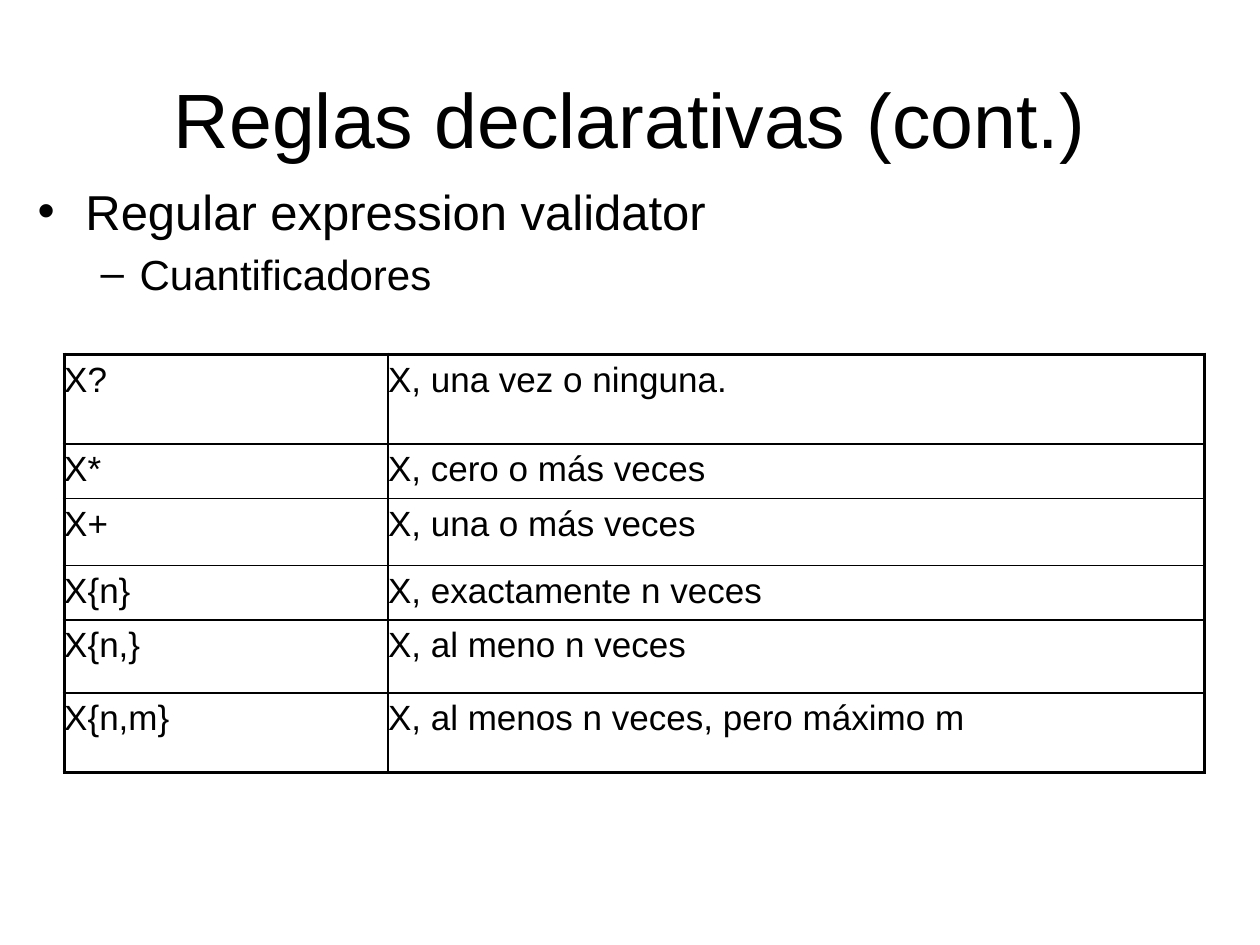
"""Build the slide on regular expression quantifiers."""
import dataclasses
import typing

import pptx
import pptx.dml.color
import pptx.enum.text
import pptx.oxml.ns
import pptx.util
from lxml import etree

BLACK = pptx.dml.color.RGBColor(0x00, 0x00, 0x00)
WHITE = pptx.dml.color.RGBColor(0xFF, 0xFF, 0xFF)
FONT = "Arial"
WIDTH, HEIGHT = pptx.util.Inches(10), pptx.util.Inches(7.5)
THICK, THIN = 2.25, 1
COLUMNS = (2.57, 6.48)
ALIGN = pptx.enum.text.PP_ALIGN
ANCHOR = pptx.enum.text.MSO_ANCHOR


@dataclasses.dataclass(frozen=True)
class Box:
    """Place on the slide, as shares of its width and height."""
    left: float
    top: float
    width: float
    height: float

    def emu(self) -> tuple[int, int, int, int]:
        return (round(self.left * WIDTH), round(self.top * HEIGHT),
                round(self.width * WIDTH), round(self.height * HEIGHT))


@dataclasses.dataclass(frozen=True)
class Bullet:
    """Bullet sign with its text margin and hanging indent in inches."""
    sign: str
    margin: float
    hang: float


@dataclasses.dataclass(frozen=True)
class Quantifier:
    """Table row: pattern, meaning and row height in inches."""
    pattern: str
    meaning: str
    height: float


TITLE_BOX = Box(0.05, 0.04, 0.9, 0.17)
LIST_BOX = Box(0.02, 0.185, 0.8, 0.17)
TABLE_BOX = Box(0.051, 0.375, 0.905, 0.44)
QUANTIFIERS = (
    Quantifier("X?", "X, una vez o ninguna.", 0.71),
    Quantifier("X*", "X, cero o más veces", 0.43),
    Quantifier("X+", "X, una o más veces", 0.53),
    Quantifier("X{n}", "X, exactamente n veces", 0.43),
    Quantifier("X{n,}", "X, al meno n veces", 0.58),
    Quantifier("X{n,m}", "X, al menos n veces, pero máximo m", 0.63),
)


def add_node(parent: typing.Any, tag: str, **attributes: typing.Any) -> typing.Any:
    """Append a DrawingML element to its parent."""
    values = {name: str(value) for name, value in attributes.items()}
    return etree.SubElement(parent, pptx.oxml.ns.qn(f"a:{tag}"), values)


def write(p: typing.Any, text: str, *, size: float, align: typing.Any = ALIGN.LEFT,
          before: float = 0, level: int = 0, bullet: Bullet | None = None) -> None:
    """Write one formatted run into a paragraph."""
    p.alignment, p.level = align, level
    p.space_before = pptx.util.Pt(before)
    r = p.add_run()
    r.text = text
    r.font.name, r.font.size = FONT, pptx.util.Pt(size)
    r.font.color.rgb = BLACK
    if bullet:
        props = p._p.get_or_add_pPr()
        props.set("marL", str(pptx.util.Inches(bullet.margin)))
        props.set("indent", str(-pptx.util.Inches(bullet.hang)))
        add_node(add_node(props, "buClr"), "srgbClr", val=BLACK)
        add_node(props, "buFont", typeface=FONT)
        add_node(props, "buChar", char=bullet.sign)


def add_text_frame(s: typing.Any, box: Box, anchor: typing.Any = ANCHOR.TOP) -> typing.Any:
    """Add a wrapping text box and return its frame."""
    tf = s.shapes.add_textbox(*box.emu()).text_frame
    tf.word_wrap, tf.vertical_anchor = True, anchor
    return tf


def set_borders(cell: typing.Any, **widths: float) -> None:
    """Draw solid black cell borders, given in the order L, R, T, B."""
    props = cell._tc.get_or_add_tcPr()
    for side, width in widths.items():
        line = add_node(props, f"ln{side}", w=pptx.util.Pt(width))
        add_node(add_node(line, "solidFill"), "srgbClr", val=BLACK)


def add_quantifier_table(s: typing.Any) -> None:
    """Add the table with a thick frame and thin inner lines."""
    last_row, last_column = len(QUANTIFIERS) - 1, len(COLUMNS) - 1
    table = s.shapes.add_table(last_row + 1, last_column + 1, *TABLE_BOX.emu()).table
    table.first_row = table.horz_banding = False
    for column, width in zip(table.columns, COLUMNS):
        column.width = pptx.util.Inches(width)
    for i, quantifier in enumerate(QUANTIFIERS):
        table.rows[i].height = pptx.util.Inches(quantifier.height)
        for j, text in enumerate((quantifier.pattern, quantifier.meaning)):
            cell = table.cell(i, j)
            cell.margin_left = cell.margin_right = 0
            set_borders(cell, L=THICK if j == 0 else THIN,
                        R=THICK if j == last_column else THIN,
                        T=THICK if i == 0 else THIN,
                        B=THICK if i == last_row else THIN)
            cell.fill.background()
            write(cell.text_frame.paragraphs[0], text, size=20)


def main() -> None:
    """Assemble and save the slide."""
    prs = pptx.Presentation()
    prs.slide_width, prs.slide_height = WIDTH, HEIGHT
    s = prs.slides.add_slide(prs.slide_layouts[6])
    s.background.fill.solid()
    s.background.fill.fore_color.rgb = WHITE
    title = add_text_frame(s, TITLE_BOX, ANCHOR.MIDDLE)
    write(title.paragraphs[0], "Reglas declarativas (cont.)", size=44, align=ALIGN.CENTER)
    tf = add_text_frame(s, LIST_BOX)
    write(tf.paragraphs[0], "Regular expression validator", size=28,
          bullet=Bullet("•", 0.38, 0.38))
    write(tf.add_paragraph(), "Cuantificadores", size=24, before=4.8, level=1,
          bullet=Bullet("–", 0.81, 0.31))
    add_quantifier_table(s)
    prs.save("out.pptx")


if __name__ == "__main__":
    main()
